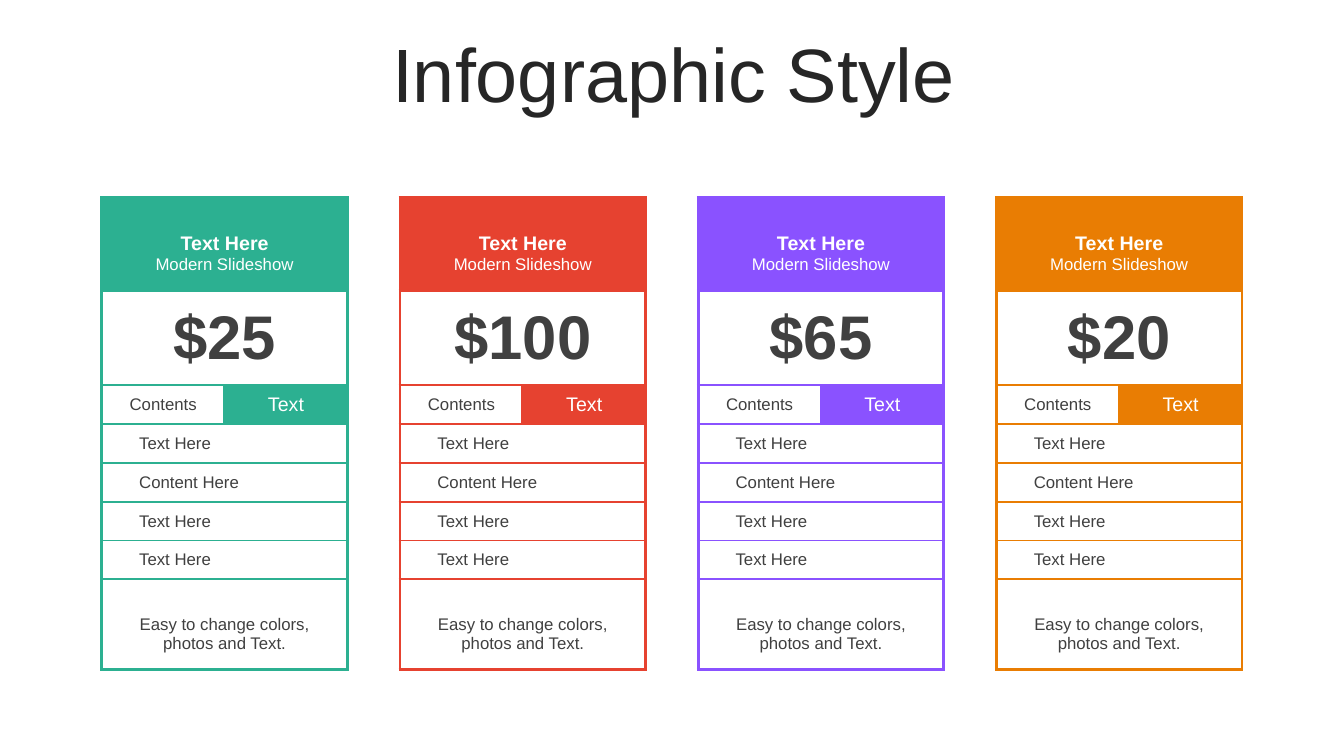
from dataclasses import dataclass

import lxml.etree
import pptx
import pptx.dml.color
import pptx.enum.text
import pptx.oxml.ns
import pptx.slide
import pptx.table
import pptx.text.text
import pptx.util

Align = pptx.enum.text.PP_ALIGN
MIDDLE = pptx.enum.text.MSO_ANCHOR.MIDDLE
EMU_PER_PX = 9525


@dataclass(frozen=True)
class Theme:
    font: str = "Arial"
    title_color: str = "262626"
    body_color: str = "404040"
    white: str = "FFFFFF"
    title_size: int = 54
    price_size: int = 44
    heading_size: int = 14
    body_size: int = 12
    thick_line: float = 2.25
    thin_line: float = 1.5


@dataclass(frozen=True)
class Plan:
    price: str
    color: str


THEME = Theme()
PLANS = (
    Plan("$25", "2CB091"),
    Plan("$100", "E64230"),
    Plan("$65", "8A52FF"),
    Plan("$20", "E97D03"),
)
FEATURES = ("Text Here", "Content Here", "Text Here", "Text Here")

CARD_LEFT, CARD_TOP, CARD_PITCH = 97, 188, 284
COLUMN_WIDTHS = (26, 91, 91, 26)
ROW_HEIGHTS = (89, 90, 37, 37, 37, 37, 37, 86)
HEADER_ROW, PRICE_ROW, TAB_ROW, FIRST_FEATURE_ROW = range(4)
FOOTER_ROW = len(ROW_HEIGHTS) - 1
LINE_DROP = 18  # lowers header and footer text by half a line


def px(length: int) -> pptx.util.Emu:
    return pptx.util.Emu(length * EMU_PER_PX)


def rgb(color: str) -> pptx.dml.color.RGBColor:
    return pptx.dml.color.RGBColor.from_string(color)


def write(
    paragraph: pptx.text.text._Paragraph,
    text: str,
    *,
    size: int = THEME.body_size,
    color: str = THEME.body_color,
    bold: bool = False,
    align: Align = Align.CENTER,
) -> None:
    paragraph.alignment = align
    run = paragraph.add_run()
    run.text = text
    run.font.name = THEME.font
    run.font.size = pptx.util.Pt(size)
    run.font.bold = bold
    run.font.color.rgb = rgb(color)


def add_title(slide: pptx.slide.Slide, text: str) -> None:
    frame = slide.shapes.add_textbox(px(34), px(36), px(1215), px(76)).text_frame
    frame.word_wrap = True
    frame.vertical_anchor = MIDDLE
    paragraph = frame.paragraphs[0]
    paragraph.line_spacing = 0.9
    write(paragraph, text, size=THEME.title_size, color=THEME.title_color)


def horizontal_weight(edge: int, column: int) -> float:
    """Width of the rule at a row edge, counted from the top of the card."""
    beside_tab = edge in (TAB_ROW, TAB_ROW + 1) and column >= 2
    if edge in (HEADER_ROW, PRICE_ROW, len(ROW_HEIGHTS)) or beside_tab:
        return THEME.thick_line
    return THEME.thin_line


def vertical_weight(edge: int, row: int) -> float:
    """Width of the rule at a column edge; zero means no rule."""
    visible = edge in (0, len(COLUMN_WIDTHS)) or (row == TAB_ROW and edge == 2)
    return THEME.thick_line if visible else 0


def add_border(cell: pptx.table._Cell, side: str, weight: float, color: str) -> None:
    qn = pptx.oxml.ns.qn
    properties = cell._tc.get_or_add_tcPr()
    line = lxml.etree.SubElement(properties, qn(f"a:ln{side}"))
    if not weight:
        line.set("w", "0")
        lxml.etree.SubElement(line, qn("a:noFill"))
        return
    line.set("w", str(pptx.util.Pt(weight)))
    fill = lxml.etree.SubElement(line, qn("a:solidFill"))
    lxml.etree.SubElement(fill, qn("a:srgbClr"), val=color)


def style_cells(table: pptx.table.Table, color: str) -> None:
    for row in range(len(ROW_HEIGHTS)):
        for column in range(len(COLUMN_WIDTHS)):
            cell = table.cell(row, column)
            right_edge = column + cell.span_width
            add_border(cell, "L", vertical_weight(column, row), color)
            add_border(cell, "R", vertical_weight(right_edge, row), color)
            add_border(cell, "T", horizontal_weight(row, column), color)
            add_border(cell, "B", horizontal_weight(row + 1, column), color)
            filled = row == HEADER_ROW or (row == TAB_ROW and column >= 2)
            cell.fill.solid()
            cell.fill.fore_color.rgb = rgb(color if filled else THEME.white)
            cell.vertical_anchor = MIDDLE
            cell.margin_top = cell.margin_bottom = 0


def merge_cells(table: pptx.table.Table) -> None:
    for row in range(len(ROW_HEIGHTS)):
        if row < TAB_ROW:
            spans = ((0, 3),)
        elif row == TAB_ROW:
            spans = ((0, 1), (2, 3))
        else:
            spans = ((1, 2),)
        for first, last in spans:
            table.cell(row, first).merge(table.cell(row, last))


def fill_text(table: pptx.table.Table, price: str) -> None:
    header = table.cell(HEADER_ROW, 0)
    header.margin_top = px(LINE_DROP)
    frame = header.text_frame
    write(frame.paragraphs[0], "Text Here", size=THEME.heading_size,
          color=THEME.white, bold=True)
    write(frame.add_paragraph(), "Modern Slideshow", color=THEME.white)

    def first_paragraph(row: int, column: int) -> pptx.text.text._Paragraph:
        return table.cell(row, column).text_frame.paragraphs[0]

    write(first_paragraph(PRICE_ROW, 0), price, size=THEME.price_size, bold=True)
    write(first_paragraph(TAB_ROW, 0), "Contents")
    write(first_paragraph(TAB_ROW, 2), "Text", size=THEME.heading_size,
          color=THEME.white)
    for row, feature in enumerate(FEATURES, FIRST_FEATURE_ROW):
        write(first_paragraph(row, 1), feature, align=Align.LEFT)
    table.cell(FOOTER_ROW, 1).margin_top = px(LINE_DROP)
    write(first_paragraph(FOOTER_ROW, 1), "Easy to change colors, photos and Text.")


def add_card(slide: pptx.slide.Slide, plan: Plan, left: int) -> None:
    table = slide.shapes.add_table(
        len(ROW_HEIGHTS), len(COLUMN_WIDTHS), px(left), px(CARD_TOP),
        px(sum(COLUMN_WIDTHS)), px(sum(ROW_HEIGHTS)),
    ).table
    table.first_row = table.horz_banding = False
    for column, width in zip(table.columns, COLUMN_WIDTHS):
        column.width = px(width)
    for row, height in zip(table.rows, ROW_HEIGHTS):
        row.height = px(height)
    merge_cells(table)
    style_cells(table, plan.color)
    fill_text(table, plan.price)


def main() -> None:
    presentation = pptx.Presentation()
    presentation.slide_width, presentation.slide_height = px(1280), px(720)
    slide = presentation.slides.add_slide(presentation.slide_layouts[6])
    add_title(slide, "Infographic Style")
    for index, plan in enumerate(PLANS):
        add_card(slide, plan, CARD_LEFT + index * CARD_PITCH)
    presentation.save("out.pptx")


if __name__ == "__main__":
    main()
